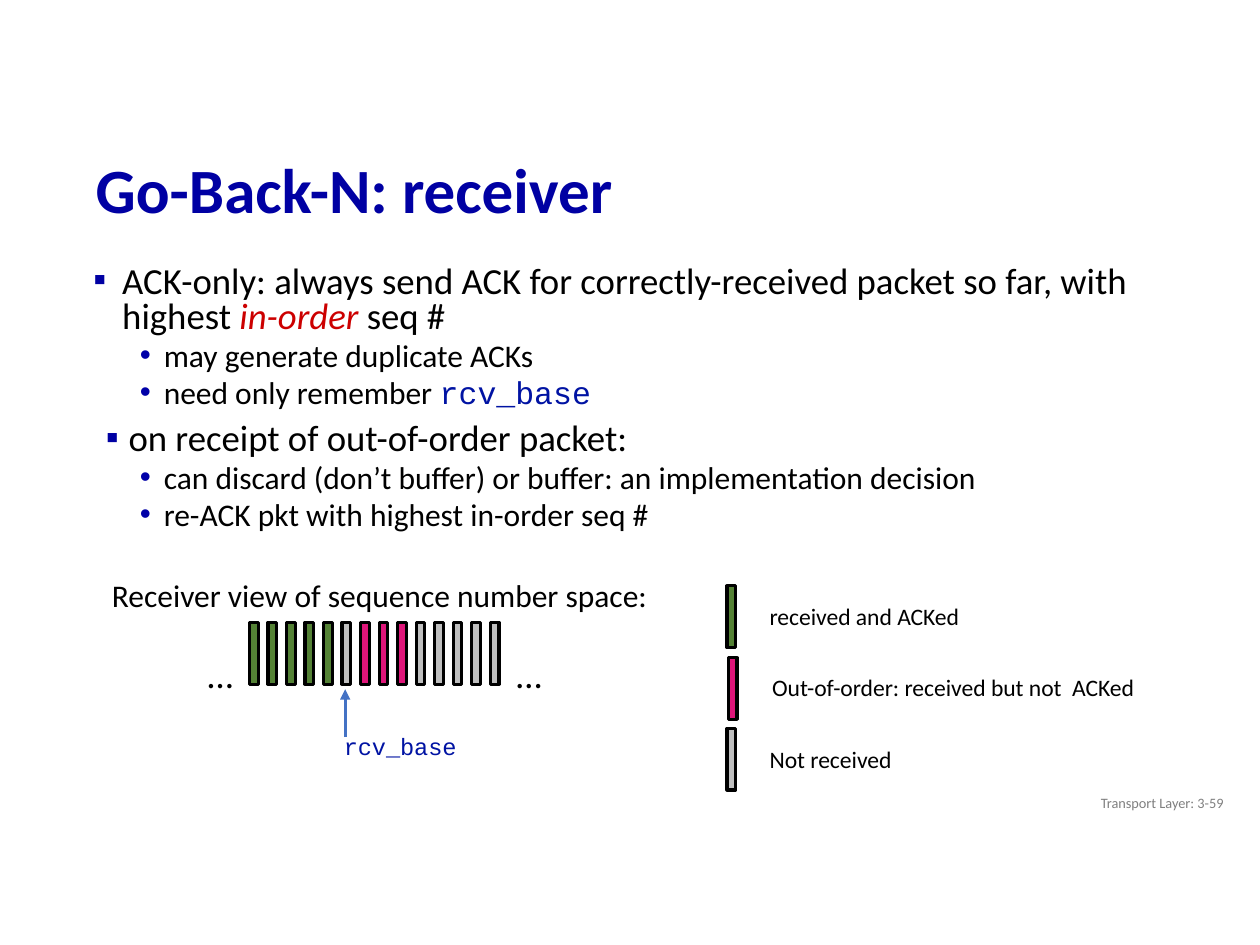
from dataclasses import dataclass

from lxml import etree
from pptx import Presentation
from pptx import util as u
from pptx.dml.color import RGBColor
from pptx.enum import shapes, text
from pptx.oxml import ns

COLUMNS, ROWS = 100, 75
INK, NAVY, CODE_BLUE = "000000", "0000A3", "0013A3"
ACKED, OUT_OF_ORDER, NOT_RECEIVED = "548235", "DF167A", "BFBFBF"
SANS, MONO = "Calibri", "Courier New"

deck = Presentation()
deck.slide_width, deck.slide_height = u.Inches(10), u.Inches(7.5)
slide = deck.slides.add_slide(deck.slide_layouts[1])


@dataclass
class Area:
    column: float
    row: float
    columns: float
    rows: float


@dataclass
class Phrase:
    words: str
    color: str = INK
    font: str = SANS
    italic: bool = False


@dataclass
class BulletStyle:
    mark: str
    color: str
    size: float
    margin: float
    hang: float
    before: float
    level: int


@dataclass
class Point:
    style: BulletStyle
    phrases: list[Phrase]


@dataclass
class Label:
    words: str
    area: Area
    size: float
    color: str = INK
    font: str = SANS


@dataclass
class LegendEntry:
    color: str
    column: float
    row: float
    label: Label


def col(count: float) -> int:
    return round(deck.slide_width * count / COLUMNS)


def row(count: float) -> int:
    return round(deck.slide_height * count / ROWS)


def rgb(value: str) -> RGBColor:
    return RGBColor.from_string(value)


def frame(area: Area) -> tuple[int, int, int, int]:
    return col(area.column), row(area.row), col(area.columns), row(area.rows)


def place(holder, area: Area) -> None:
    holder.left, holder.top, holder.width, holder.height = frame(area)


def style_font(font, size: float, color: str, face: str = SANS) -> None:
    font.size, font.name = u.Pt(size), face
    font.color.rgb = rgb(color)


def add_bullet(paragraph, style: BulletStyle) -> None:
    props = paragraph._p.get_or_add_pPr()
    props.set("marL", str(col(style.margin)))
    props.set("indent", str(-col(style.hang)))
    tint = etree.SubElement(props, ns.qn("a:buClr"))
    etree.SubElement(tint, ns.qn("a:srgbClr"), val=style.color)
    etree.SubElement(props, ns.qn("a:buFont"), typeface="Arial")
    etree.SubElement(props, ns.qn("a:buChar"), char=style.mark)


def write_points(body, points: list[Point]) -> None:
    words = body.text_frame
    words.auto_size = text.MSO_AUTO_SIZE.NONE
    words.margin_left = words.margin_right = col(0.7)
    words.margin_top = words.margin_bottom = row(0.4)
    for index, point in enumerate(points):
        paragraph = words.add_paragraph() if index else words.paragraphs[0]
        paragraph.level = point.style.level
        add_bullet(paragraph, point.style)
        paragraph.line_spacing = 0.8
        paragraph.space_before = u.Pt(point.style.before if index else 0)
        for phrase in point.phrases:
            run = paragraph.add_run()
            run.text = phrase.words
            style_font(run.font, point.style.size, phrase.color, phrase.font)
            run.font.italic = phrase.italic


def add_label(label: Label):
    box = slide.shapes.add_textbox(*frame(label.area))
    box.text_frame.text = label.words
    box.text_frame.word_wrap = False
    box.text_frame.auto_size = text.MSO_AUTO_SIZE.SHAPE_TO_FIT_TEXT
    style_font(box.text_frame.paragraphs[0].runs[0].font, label.size, label.color, label.font)
    return box


def add_packet(column: float, top: float, color: str) -> None:
    packet = slide.shapes.add_shape(
        shapes.MSO_SHAPE.RECTANGLE, *frame(Area(column, top, 0.7, 4.9)))
    packet.shadow.inherit = False
    packet.fill.solid()
    packet.fill.fore_color.rgb = rgb(color)
    packet.line.color.rgb = rgb(INK)
    packet.line.width = u.Pt(1.75)


def add_up_arrow(column: float, bottom: float, top: float) -> None:
    pointer = slide.shapes.add_connector(
        shapes.MSO_CONNECTOR.STRAIGHT, col(column), row(bottom), col(column), row(top))
    pointer.line.color.rgb = rgb("4472C4")
    pointer.line.width = u.Pt(1.75)
    etree.SubElement(pointer.line._get_or_add_ln(), ns.qn("a:tailEnd"), type="triangle")
    etree.SubElement(pointer._element.spPr, ns.qn("a:effectLst"))


title, body = slide.placeholders
place(title, Area(6.6, 11.7, 91, 7.3))
title.text_frame.text = "Go-Back-N: receiver"
title.text_frame.vertical_anchor = text.MSO_ANCHOR.MIDDLE
title.text_frame.auto_size = text.MSO_AUTO_SIZE.NONE
heading = title.text_frame.paragraphs[0]
heading.alignment = text.PP_ALIGN.LEFT
heading.line_spacing = 0.9
style_font(heading.runs[0].font, 36, NAVY)
heading.runs[0].font.bold = True

ack_rule = BulletStyle("▪", NAVY, 21, 2.4, 2.3, 7.5, 0)
receipt_rule = BulletStyle("▪", NAVY, 21, 2.9, 1.8, 7.5, 0)
detail = BulletStyle("•", "0000A8", 18, 5.7, 1.9, 3.8, 1)
place(body, Area(6.6, 20.7, 84.6, 23.4))
write_points(body, [
    Point(ack_rule, [
        Phrase("ACK-only: always send ACK for correctly-received packet so far, with highest "),
        Phrase("in-order", "CC0000", italic=True),
        Phrase(" seq #")]),
    Point(detail, [Phrase("may generate duplicate ACKs")]),
    Point(detail, [Phrase("need only remember "), Phrase("rcv_base", CODE_BLUE, MONO)]),
    Point(receipt_rule, [Phrase("on receipt of out-of-order packet:")]),
    Point(detail, [Phrase("can discard (don’t buffer) or buffer: an implementation decision")]),
    Point(detail, [Phrase("re-ACK pkt with highest in-order seq #")]),
])

add_label(Label("Receiver view of sequence number space:", Area(7.9, 45.2, 45.1, 4), 18))
sequence = [ACKED] * 5 + [NOT_RECEIVED] + [OUT_OF_ORDER] * 3 + [NOT_RECEIVED] * 5
for position, state in enumerate(sequence):
    add_packet(19.8 + 1.47 * position, 49.4, state)
for ellipsis_column in (15.5, 40):
    add_label(Label("…", Area(ellipsis_column, 51.2, 4.1, 4.5), 21))
add_label(Label("rcv_base", Area(26.3, 57.6, 11.1, 3.3), 13.5, CODE_BLUE, MONO))
add_up_arrow(27.4, 58.5, 54.7)

legend = [
    LegendEntry(ACKED, 57.7, 46.5,
                Label("received and ACKed", Area(60.1, 47.3, 17.3, 3.3), 13.5)),
    LegendEntry(OUT_OF_ORDER, 57.8, 52.2,
                Label("Out-of-order: received but not  ACKed", Area(60.3, 52.9, 31.3, 3.3), 13.5)),
    LegendEntry(NOT_RECEIVED, 57.7, 57.8,
                Label("Not received", Area(60.1, 58.6, 11.9, 3.3), 13.5)),
]
for entry in legend:
    add_packet(entry.column, entry.row, entry.color)
    add_label(entry.label)

footer = add_label(Label("Transport Layer: 3-59", Area(75.6, 62.2, 22.5, 3), 8.2, "808080"))
footer.text_frame.word_wrap = True
footer.text_frame.auto_size = text.MSO_AUTO_SIZE.NONE
footer.text_frame.vertical_anchor = text.MSO_ANCHOR.MIDDLE
footer.text_frame.paragraphs[0].alignment = text.PP_ALIGN.RIGHT

deck.save("out.pptx")
